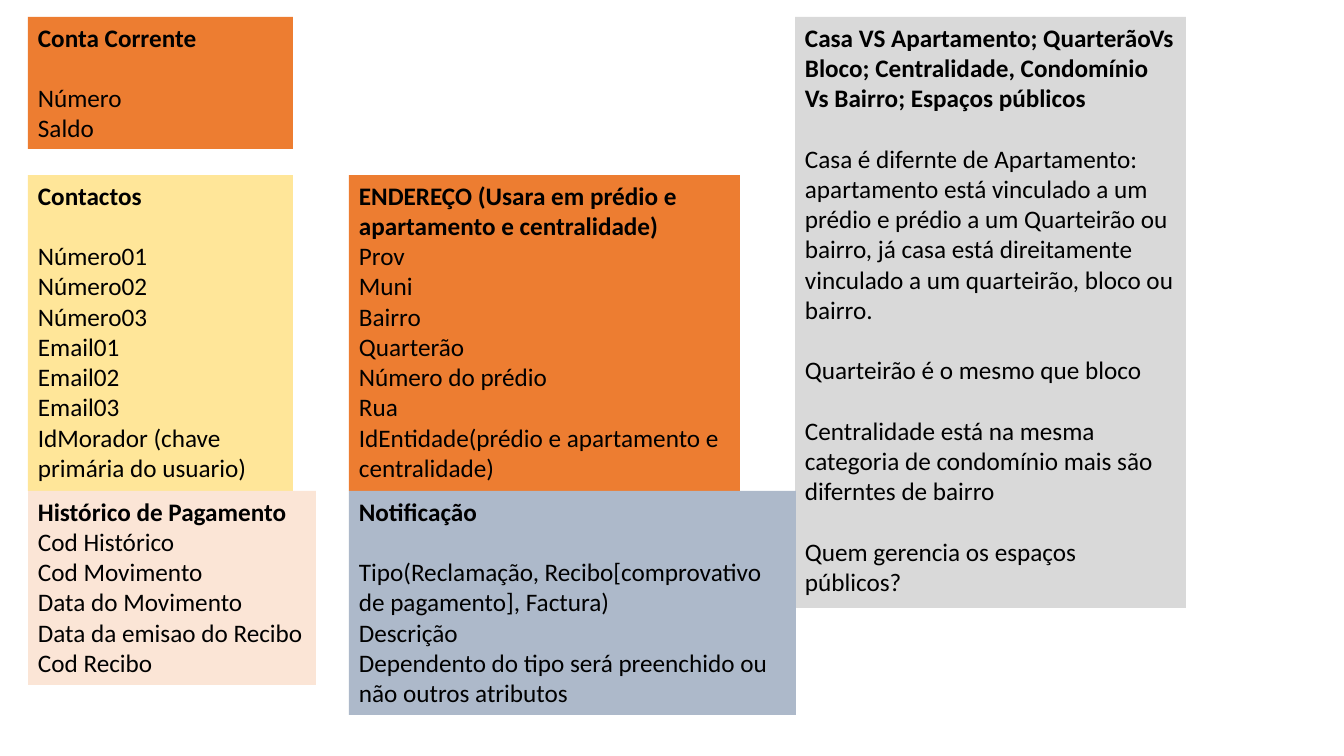
import pptx
import pptx.dml.color
import pptx.enum.shapes
import pptx.enum.text
import pptx.util

PX = 914400 / 100.8
SLIDE_SIZE = (1344, 756)
FONT = "Calibri"
TEXT_SIZE = pptx.util.Pt(18)
GROUP_GAP = pptx.util.Pt(21.6)

COLORS = {
    "text": "000000",
    "orange": "ED7D31",
    "yellow": "FFE699",
    "gray": "D9D9D9",
    "blue": "ADB9CA",
    "peach": "FBE5D6",
}

LEFT, MIDDLE, RIGHT = 28, 349, 795
TOP, CENTER, BOTTOM = 17, 175, 491

ENTITIES = [
    ((LEFT, TOP, 265, 132), "orange", [
        ["Conta Corrente"],
        ["Número", "Saldo"],
    ]),
    ((LEFT, CENTER, 265, 316), "yellow", [
        ["Contactos"],
        ["Número01", "Número02", "Número03", "Email01", "Email02", "Email03",
         "IdMorador (chave primária do usuario)"],
    ]),
    ((MIDDLE, CENTER, 391, 316), "orange", [
        ["ENDEREÇO (Usara em prédio e apartamento e centralidade)",
         "Prov", "Muni", "Bairro", "Quarterão", "Número do prédio", "Rua",
         "IdEntidade(prédio e apartamento e centralidade)"],
    ]),
    ((RIGHT, TOP, 391, 591), "gray", [
        ["Casa VS Apartamento; QuarterãoVs Bloco; Centralidade, "
         "Condomínio Vs Bairro; Espaços públicos"],
        ["Casa é difernte de Apartamento: apartamento está vinculado a um "
         "prédio e prédio a um Quarteirão ou bairro, já casa está "
         "direitamente vinculado a um quarteirão, bloco ou bairro."],
        ["Quarteirão é o mesmo que bloco"],
        ["Centralidade está na mesma categoria de condomínio mais são "
         "diferntes de bairro"],
        ["Quem gerencia os espaços públicos?"],
    ]),
    ((MIDDLE, BOTTOM, 447, 224), "blue", [
        ["Notificação"],
        ["Tipo(Reclamação, Recibo[comprovativo de pagamento], Factura)",
         "Descrição",
         "Dependento do tipo será preenchido ou não outros atributos"],
    ]),
    ((LEFT, BOTTOM, 288, 194), "peach", [
        ["Histórico de Pagamento", "Cod Histórico", "Cod Movimento",
         "Data do Movimento", "Data da emisao do Recibo", "Cod Recibo"],
    ]),
]


def px(length):
    return pptx.util.Emu(round(length * PX))


def rgb(name):
    return pptx.dml.color.RGBColor.from_string(COLORS[name])


def write_groups(frame, groups):
    paragraph = None
    for group_index, group in enumerate(groups):
        for line_index, line in enumerate(group):
            is_heading = paragraph is None
            paragraph = frame.paragraphs[0] if is_heading else frame.add_paragraph()
            paragraph.text = line
            paragraph.alignment = pptx.enum.text.PP_ALIGN.LEFT
            paragraph.font.name = FONT
            paragraph.font.size = TEXT_SIZE
            paragraph.font.bold = is_heading
            paragraph.font.color.rgb = rgb("text")
            if group_index and not line_index:
                paragraph.space_before = GROUP_GAP


def add_entity(slide, box, color, groups):
    entity = slide.shapes.add_shape(
        pptx.enum.shapes.MSO_SHAPE.RECTANGLE, *map(px, box))
    entity.shadow.inherit = False
    entity.fill.solid()
    entity.fill.fore_color.rgb = rgb(color)
    entity.line.fill.background()
    frame = entity.text_frame
    frame.word_wrap = True
    frame.auto_size = pptx.enum.text.MSO_AUTO_SIZE.SHAPE_TO_FIT_TEXT
    frame.vertical_anchor = pptx.enum.text.MSO_ANCHOR.TOP
    write_groups(frame, groups)


def main():
    deck = pptx.Presentation()
    deck.slide_width, deck.slide_height = map(px, SLIDE_SIZE)
    slide = deck.slides.add_slide(deck.slide_layouts[6])
    for box, color, groups in ENTITIES:
        add_entity(slide, box, color, groups)
    deck.save("out.pptx")


if __name__ == "__main__":
    main()
